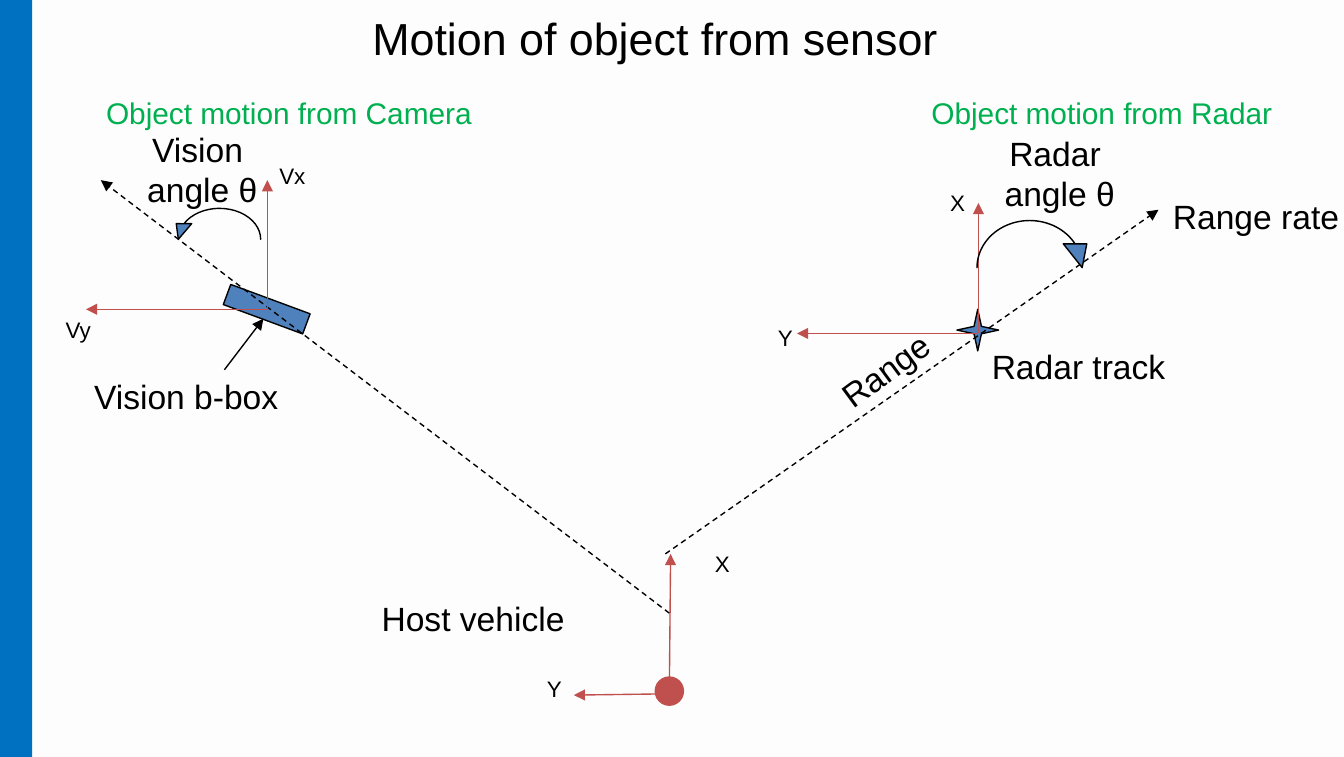
from dataclasses import dataclass

from lxml import etree
from pptx import Presentation
from pptx.dml.color import RGBColor
from pptx.enum.dml import MSO_LINE
from pptx.enum.shapes import MSO_CONNECTOR, MSO_SHAPE as Shape
from pptx.enum.text import MSO_ANCHOR as Anchor, MSO_AUTO_SIZE as AutoSize, PP_ALIGN as Align
from pptx.oxml.ns import qn
from pptx.util import Inches, Pt


@dataclass(frozen=True)
class Theme:
    font: str = "Arial"
    ink: str = "000000"
    background: str = "FDFDFD"
    band: str = "0070C0"
    heading: str = "00B050"
    axis: str = "C0504D"
    target: str = "4F81BD"
    title_size: int = 24
    label_size: int = 18
    heading_size: int = 16
    axis_size: int = 12
    line_width: float = 0.75


def rgb(code):
    return RGBColor.from_string(code)


class Diagram:
    def __init__(self, slide, theme):
        self.slide = slide
        self.theme = theme
        background = slide.background.fill
        background.solid()
        background.fore_color.rgb = rgb(theme.background)

    def set_text(self, frame, text, size, color, align=Align.LEFT):
        frame.text = text
        for paragraph in frame.paragraphs:
            paragraph.alignment = align
            for run in paragraph.runs:
                run.font.name = self.theme.font
                run.font.size = Pt(size)
                run.font.color.rgb = rgb(color)

    def title(self, text, left, top, width, height):
        title = self.slide.shapes.title
        title.left, title.top = Inches(left), Inches(top)
        title.width, title.height = Inches(width), Inches(height)
        frame = title.text_frame
        frame.auto_size = AutoSize.NONE
        frame.vertical_anchor = Anchor.TOP
        self.set_text(frame, text, self.theme.title_size, self.theme.ink)

    def text_box(self, left, top, width, height, wrap=False):
        box = self.slide.shapes.add_textbox(
            Inches(left), Inches(top), Inches(width), Inches(height))
        box.text_frame.word_wrap = wrap
        box.text_frame.auto_size = AutoSize.SHAPE_TO_FIT_TEXT
        return box

    def heading(self, text, left, top, width, height):
        frame = self.text_box(left, top, width, height).text_frame
        frame.margin_left = frame.margin_right = Inches(0.04)
        frame.margin_top = frame.margin_bottom = Inches(0.04)
        frame.vertical_anchor = Anchor.MIDDLE
        self.set_text(frame, text, self.theme.heading_size, self.theme.heading)
        frame.paragraphs[0].line_spacing = 0.95

    def label(self, text, left, top, width, height=0.4, rotation=0):
        box = self.text_box(left, top, width, height)
        box.rotation = rotation
        self.set_text(box.text_frame, text, self.theme.label_size, self.theme.ink, Align.CENTER)

    def axis_label(self, text, left, top, width):
        box = self.text_box(left, top, width, 0.3, wrap=True)
        self.set_text(box.text_frame, text, self.theme.axis_size, self.theme.ink)

    def shape(self, kind, left, top, width, height, fill, outlined=True):
        shape = self.slide.shapes.add_shape(
            kind, Inches(left), Inches(top), Inches(width), Inches(height))
        shape.shadow.inherit = False
        shape.fill.solid()
        shape.fill.fore_color.rgb = rgb(fill)
        if outlined:
            shape.line.color.rgb = rgb(self.theme.ink)
            shape.line.width = Pt(self.theme.line_width)
        else:
            shape.line.fill.background()
        return shape

    def angle_arc(self, left, top, width, height, mirrored=False):
        arc = self.shape(Shape.CURVED_DOWN_ARROW, left, top, width, height, self.theme.target)
        for index, value in enumerate((0, 0.5, 0.504)):
            arc.adjustments[index] = value
        if mirrored:
            arc._element.spPr.find(qn("a:xfrm")).set("flipH", "1")

    def arrow(self, start, end, color, dashed=False):
        arrow = self.slide.shapes.add_connector(
            MSO_CONNECTOR.STRAIGHT, *(Inches(value) for value in (*start, *end)))
        arrow.line.color.rgb = rgb(color)
        arrow.line.width = Pt(self.theme.line_width)
        if dashed:
            arrow.line.dash_style = MSO_LINE.DASH
        properties = arrow._element.spPr
        etree.SubElement(properties.find(qn("a:ln")), qn("a:tailEnd"), type="triangle")
        etree.SubElement(properties, qn("a:effectLst"))


def draw_host(diagram, theme):
    diagram.shape(Shape.OVAL, 4.87, 5.03, 0.22, 0.22, theme.axis, outlined=False)
    diagram.arrow((4.99, 5.16), (4.27, 5.17), theme.axis)
    diagram.arrow((4.98, 5.16), (4.99, 4.12), theme.axis)
    diagram.axis_label("Y", 3.97, 4.97, 0.34)
    diagram.axis_label("X", 5.22, 4.04, 0.39)
    diagram.label("Host vehicle", 2.73, 4.4, 1.58)


def draw_camera(diagram, theme):
    diagram.heading("Object motion from Camera", 0.75, 0.68, 2.84, 0.34)
    vision_box = diagram.shape(Shape.RECTANGLE, 1.67, 2.22, 0.63, 0.16, theme.target)
    vision_box.rotation = 20.3
    diagram.label("Vision b-box", 0.59, 2.75, 1.59)
    diagram.arrow((4.98, 4.56), (0.75, 1.34), theme.ink, dashed=True)
    diagram.arrow((1.67, 2.75), (1.96, 2.37), theme.ink)
    diagram.angle_arc(1.27, 1.55, 0.67, 0.23, mirrored=True)
    diagram.label("Vision \nangle θ", 0.99, 0.91, 1.03, 0.71)
    for tip in ((1.99, 1.34), (0.64, 2.3)):
        diagram.arrow((1.99, 2.3), tip, theme.axis)
    diagram.axis_label("Vx", 1.98, 1.16, 0.49)
    diagram.axis_label("Vy", 0.39, 2.3, 0.54)


def draw_radar(diagram, theme):
    diagram.heading("Object motion from Radar", 6.89, 0.68, 2.65, 0.34)
    diagram.shape(Shape.STAR_4_POINT, 7.12, 2.3, 0.31, 0.31, theme.target)
    diagram.arrow((4.95, 4.12), (8.62, 1.56), theme.ink, dashed=True)
    for tip in ((7.28, 1.51), (5.93, 2.48)):
        diagram.arrow((7.28, 2.48), tip, theme.axis)
    diagram.label("Radar track", 7.27, 2.52, 1.51)
    diagram.label("Range", 6.11, 2.55, 0.95, rotation=323.5)
    diagram.label("Range rate", 8.62, 1.41, 1.45)
    diagram.label("Radar \nangle θ", 7.37, 0.94, 1.03, 0.71)
    diagram.angle_arc(7.27, 1.64, 0.87, 0.35)
    diagram.axis_label("Y", 5.69, 2.36, 0.34)
    diagram.axis_label("X", 6.97, 1.36, 0.39)


def main():
    presentation = Presentation()
    presentation.slide_width, presentation.slide_height = Inches(10), Inches(5.63)
    theme = Theme()
    title_only = presentation.slide_layouts[5]
    diagram = Diagram(presentation.slides.add_slide(title_only), theme)
    diagram.shape(Shape.RECTANGLE, 0, 0, 0.24, 5.63, theme.band, outlined=False)
    diagram.title("Motion of object from sensor", 2.67, 0.03, 4.75, 0.5)
    draw_host(diagram, theme)
    draw_camera(diagram, theme)
    draw_radar(diagram, theme)
    presentation.save("out.pptx")


if __name__ == "__main__":
    main()
